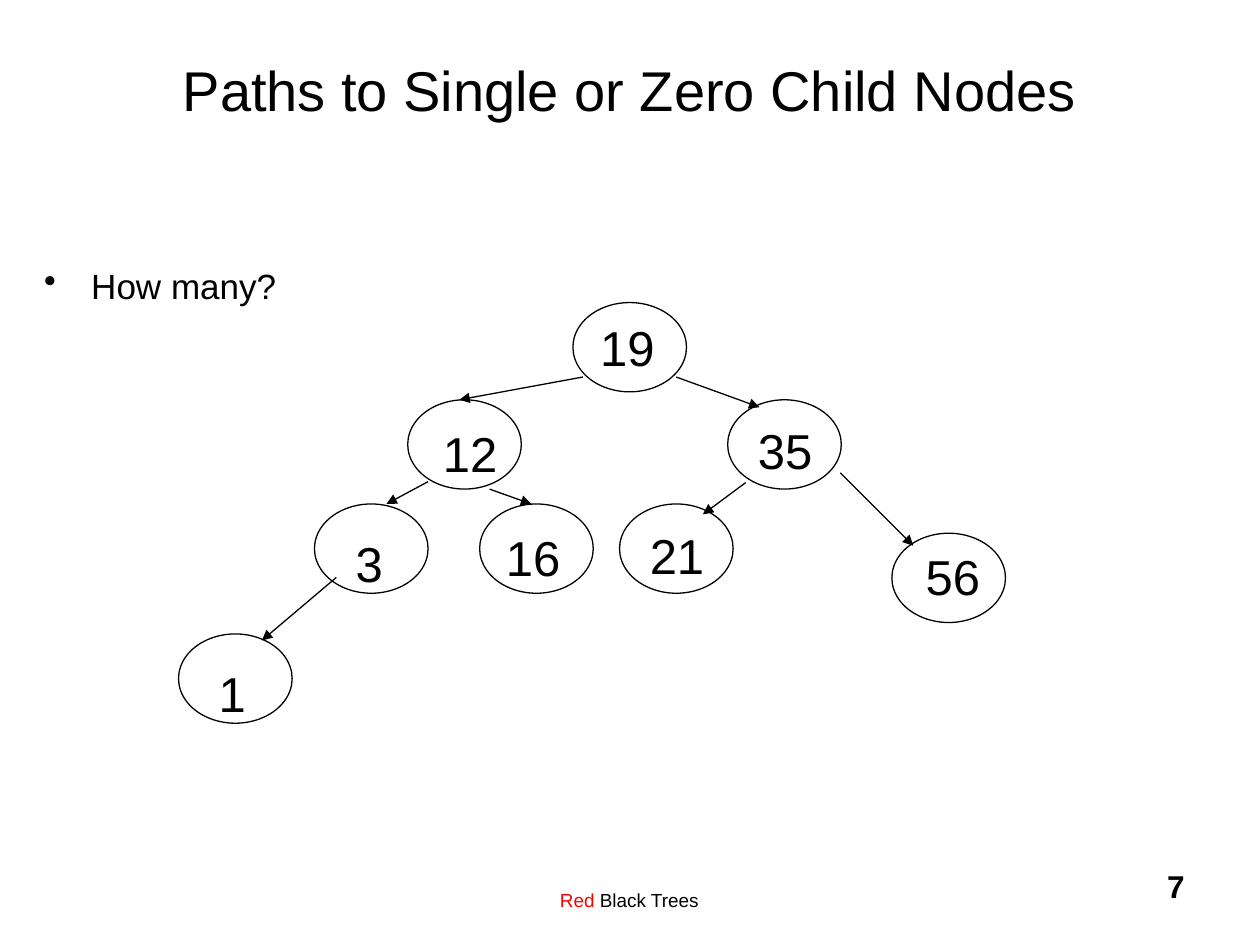
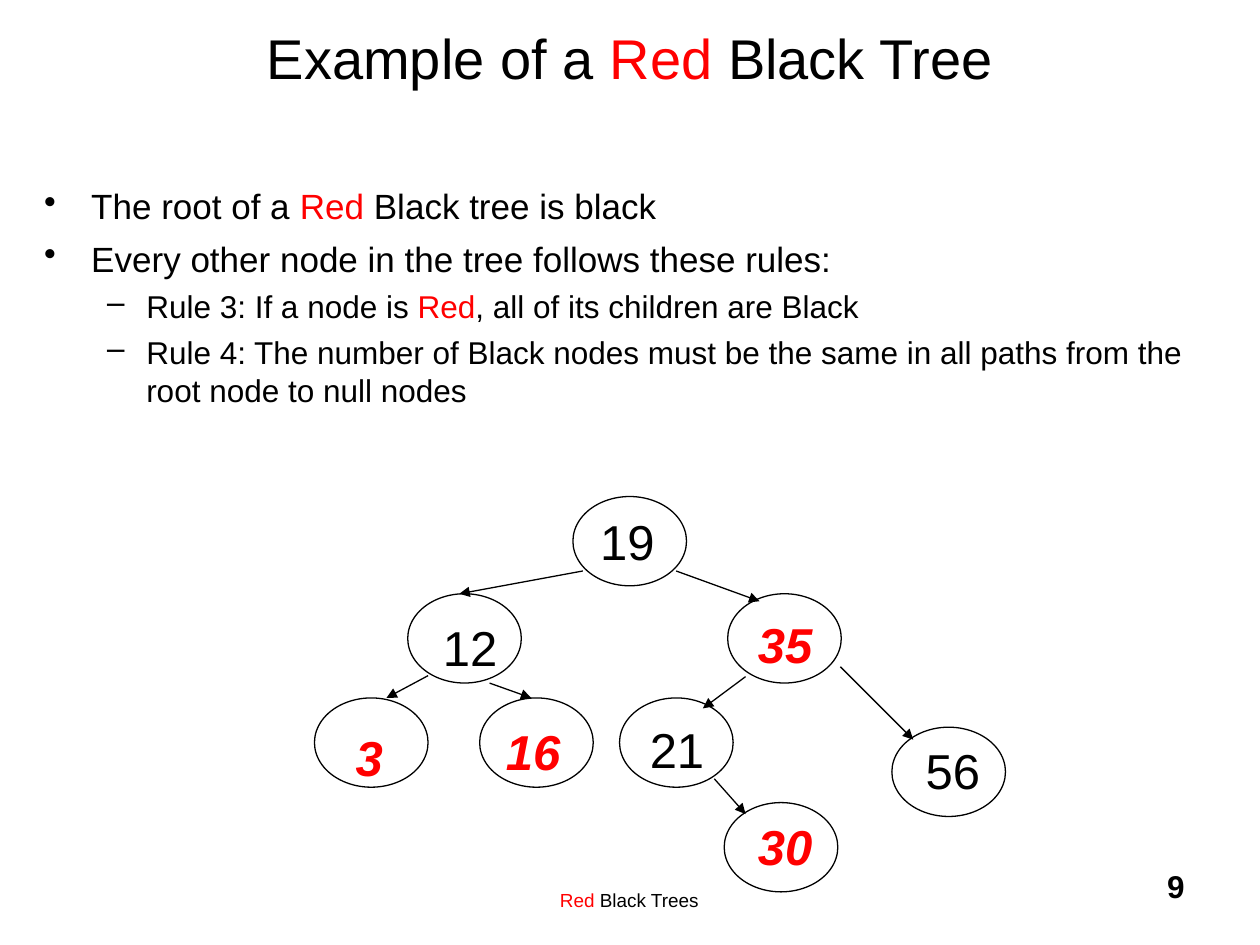
from lxml.etree import SubElement
from pptx import Presentation
from pptx.dml.color import RGBColor
from pptx.enum.shapes import MSO_CONNECTOR as Connector, MSO_SHAPE as Shape
from pptx.enum.text import MSO_ANCHOR as Anchor, PP_ALIGN as Align
from pptx.oxml.ns import qn
from pptx.util import Cm, Pt

COLORS = {"ink": "000000", "red": "FF0000", "paper": "FFFFFF"}
FONT = "Arial"
HIGHLIGHT = "Red"
LINE_WIDTH = Pt(0.75)

# Bullet levels: character, text size, left margin, hanging indent, space before
LEVELS = [("•", 20, 0.95, 0.95, 6), ("–", 18, 2.06, 0.79, 4.5)]

# Tree geometry in cm, relative to the tree's top left corner
NODE_WIDTH, NODE_HEIGHT = 2.29, 1.8
LABEL_HEIGHT = 1.45
# Node value: (left, top, label offset across, label offset down)
NODES = {
    19: (7.95, 0, 0.3, 0.18),
    12: (4.62, 1.96, 0.46, 0.35),
    35: (11.07, 1.96, 0.36, 0.3),
    3: (2.74, 4.06, 0.58, 0.48),
    16: (6.07, 4.06, 0.28, 0.35),
    21: (8.89, 4.06, 0.36, 0.3),
    56: (14.38, 4.65, 0.43, 0.15),
    1: (0, 6.68, 0.56, 0.48),
    30: (11, 6.17, 0.43, 0.15),
}
# (parent, child): start x, start y, end x, end y
EDGES = {
    (19, 12): (8.15, 1.5, 5.66, 1.96),
    (19, 35): (10.03, 1.5, 11.71, 2.11),
    (12, 3): (5.03, 3.61, 4.19, 4.06),
    (12, 16): (6.27, 3.76, 7.11, 4.06),
    (35, 21): (11.43, 3.63, 10.57, 4.27),
    (35, 56): (13.34, 3.43, 14.81, 4.9),
    (3, 1): (3.18, 5.54, 1.68, 6.81),
    (21, 30): (10.8, 5.69, 11.43, 6.4),
}


def rgb(name):
    return RGBColor.from_string(COLORS[name])


def write_text(paragraph, text, size=20, color="ink", bold=False,
               italic=False, align=Align.LEFT):
    """Fill a paragraph, showing the highlight word in red."""
    paragraph.alignment = align
    before, word, after = text.partition(HIGHLIGHT)
    for part, part_color in ((before, color), (word, "red"), (after, color)):
        if part:
            run = paragraph.add_run()
            run.text = part
            font = run.font
            font.name, font.size = FONT, Pt(size)
            font.bold, font.italic = bold, italic
            font.color.rgb = rgb(part_color)


def add_frame(slide, box, anchor=Anchor.TOP, wrap=True):
    frame = slide.shapes.add_textbox(*map(Cm, box)).text_frame
    frame.word_wrap = wrap
    frame.vertical_anchor = anchor
    return frame


def add_title(slide, text, box):
    frame = add_frame(slide, box, anchor=Anchor.MIDDLE)
    write_text(frame.paragraphs[0], text, size=32, align=Align.CENTER)


def add_footer(slide, number):
    footer = add_frame(slide, (7.82, 17.78, 9.73, 0.84))
    write_text(footer.paragraphs[0], "Red Black Trees", size=10.8, align=Align.CENTER)
    page = add_frame(slide, (18.85, 17.35, 5.28, 1.27))
    write_text(page.paragraphs[0], str(number), size=18, bold=True, align=Align.RIGHT)


def add_bullets(slide, items, box):
    """Write (level, text) items as a bulleted list."""
    frame = add_frame(slide, box)
    for index, (level, text) in enumerate(items):
        character, size, margin, hanging, space = LEVELS[level]
        paragraph = frame.add_paragraph() if index else frame.paragraphs[0]
        paragraph.level = level
        properties = paragraph._p.get_or_add_pPr()
        properties.set("marL", str(Cm(margin)))
        properties.set("indent", str(-Cm(hanging)))
        SubElement(properties, qn("a:buChar"), char=character)
        paragraph.space_before = Pt(space if index else 0)
        write_text(paragraph, text, size=size)


def add_node(slide, value, left, top, is_red):
    x, y, label_x, label_y = NODES[value]
    x, y = left + x, top + y
    ellipse = slide.shapes.add_shape(
        Shape.OVAL, Cm(x), Cm(y), Cm(NODE_WIDTH), Cm(NODE_HEIGHT))
    ellipse.shadow.inherit = False
    ellipse.fill.background()
    ellipse.line.color.rgb = rgb("ink")
    ellipse.line.width = LINE_WIDTH
    label_width = 1.6 if value > 9 else 1.04
    label = add_frame(slide, (x + label_x, y + label_y, label_width, LABEL_HEIGHT), wrap=False)
    write_text(label.paragraphs[0], str(value), size=28, bold=is_red, italic=is_red,
               color="red" if is_red else "ink")


def add_arrow(slide, start_x, start_y, end_x, end_y):
    arrow = slide.shapes.add_connector(
        Connector.STRAIGHT, Cm(start_x), Cm(start_y), Cm(end_x), Cm(end_y))
    arrow.line.color.rgb = rgb("ink")
    arrow.line.width = LINE_WIDTH
    SubElement(arrow.line._get_or_add_ln(), qn("a:tailEnd"), type="triangle")
    SubElement(arrow._element.spPr, qn("a:effectLst"))


def add_tree(slide, values, left, top, red_values=()):
    for value in values:
        add_node(slide, value, left, top, value in red_values)
    for (parent, child), (x1, y1, x2, y2) in EDGES.items():
        if parent in values and child in values:
            add_arrow(slide, left + x1, top + y1, left + x2, top + y2)


def add_tree_slide(presentation, number, title, title_box, bullets, bullet_box,
                   values, tree_top, red_values=()):
    slide = presentation.slides.add_slide(presentation.slide_layouts[6])
    slide.background.fill.solid()
    slide.background.fill.fore_color.rgb = rgb("paper")
    add_footer(slide, number)
    add_title(slide, title, title_box)
    add_bullets(slide, bullets, bullet_box)
    add_tree(slide, values, 3.6, tree_top, red_values)


def main():
    presentation = Presentation()
    presentation.slide_width, presentation.slide_height = Cm(25.4), Cm(19.05)
    shared_values = [19, 12, 35, 3, 16, 56, 21]

    # Plain search tree
    add_tree_slide(
        presentation, 7, "Paths to Single or Zero Child Nodes", (1.9, 0.2, 21.6, 3.18),
        [(0, "How many?")], (0.64, 5.21, 24.13, 1.1),
        shared_values + [1], 6.1)

    # Coloured tree with its rules
    add_tree_slide(
        presentation, 9, "Example of a Red Black Tree", (1.9, 0, 21.6, 2.31),
        [(0, "The root of a Red Black tree is black"),
         (0, "Every other node in the tree follows these rules:"),
         (1, "Rule 3: If a node is Red, all of its children are Black"),
         (1, "Rule 4: The number of Black nodes must be the same in all paths "
             "from the root node to null nodes")],
        (0.64, 3.6, 24.13, 5),
        shared_values + [30], 10.01, red_values={35, 3, 16, 30})

    presentation.save("out.pptx")


if __name__ == "__main__":
    main()
